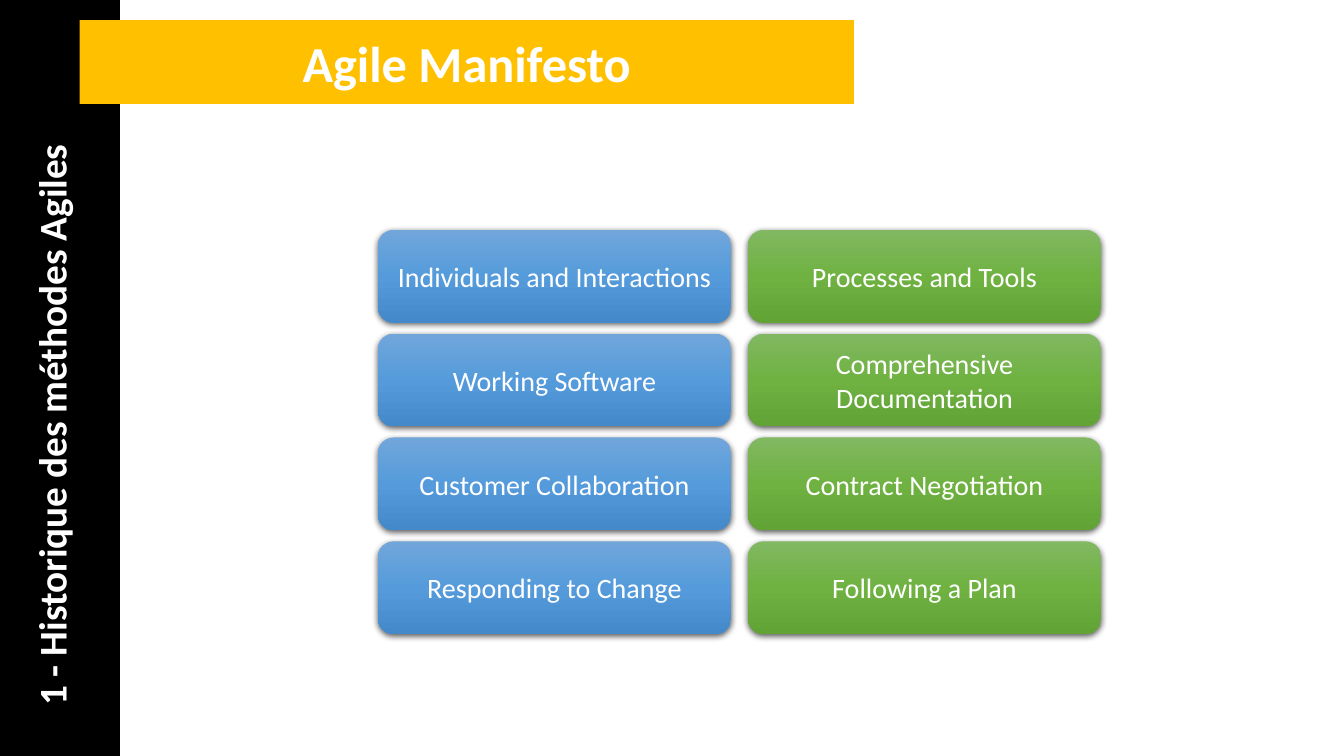
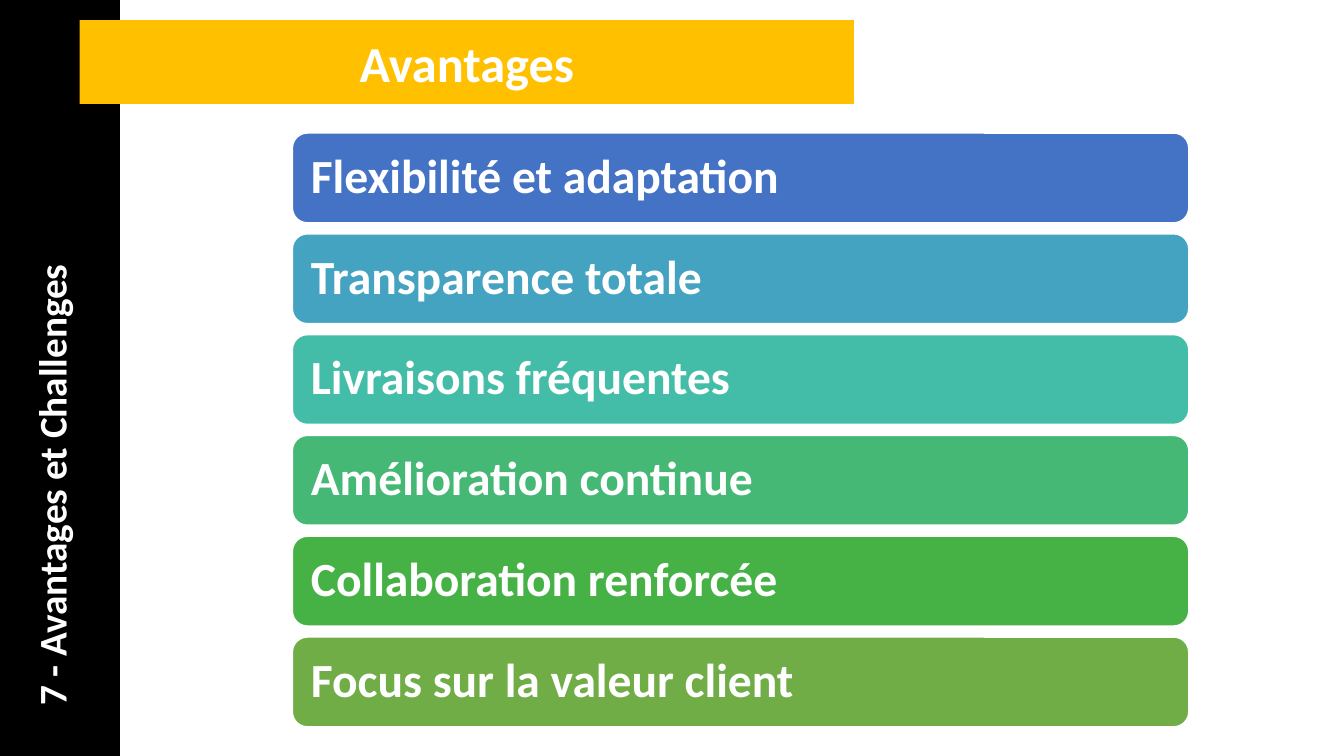
"""Build two slides on the Agile manifesto and the advantages of Agile methods."""
from dataclasses import dataclass

from pptx import Presentation
from pptx.dml.color import RGBColor
from pptx.enum.shapes import MSO_SHAPE
from pptx.enum.text import MSO_ANCHOR, MSO_AUTO_SIZE, PP_ALIGN
from pptx.oxml import parse_xml
from pptx.oxml.ns import nsdecls
from pptx.shapes.autoshape import Shape
from pptx.slide import Slide
from pptx.util import Inches, Pt

FONT = "Calibri"
COLORS = {"white": "FFFFFF", "black": "000000", "amber": "FFC000"}
BLUE = ("71A6DB", "559BDB", "448ACA")
GREEN = ("81B861", "6FB242", "62A336")


@dataclass(frozen=True)
class Box:
    left: float
    top: float
    width: float
    height: float

    def emu(self) -> tuple[Inches, Inches, Inches, Inches]:
        return Inches(self.left), Inches(self.top), Inches(self.width), Inches(self.height)


@dataclass(frozen=True)
class Bar:
    text: str
    color: str


SIDE_BAND = Box(0, 0, 1.19, 7.5)
TITLE_BAND = Box(0.79, 0.2, 7.68, 0.83)
SECTION_LABEL = Box(-3.43, 2.88, 7.87, 0.57)
FIRST_CARD = Box(3.75, 2.28, 3.5, 0.92)
CARD_STEP = (3.67, 1.03)
FIRST_BAR = Box(2.9, 1.32, 8.89, 0.89)
BAR_STEP = 1.0

VALUES = [
    ("Individuals and Interactions", "Processes and Tools"),
    ("Working Software", "Comprehensive Documentation"),
    ("Customer Collaboration", "Contract Negotiation"),
    ("Responding to Change", "Following a Plan"),
]
ADVANTAGES = [
    Bar("Flexibilité et adaptation", "4472C4"),
    Bar("Transparence totale", "44A3C0"),
    Bar("Livraisons fréquentes", "43BDA7"),
    Bar("Amélioration continue", "44B874"),
    Bar("Collaboration renforcée", "46B246"),
    Bar("Focus sur la valeur client", "70AD47"),
]


def rgb(name: str) -> RGBColor:
    return RGBColor.from_string(COLORS.get(name, name))


def write(sp: Shape, text: str, size: float, bold: bool = True,
          align: PP_ALIGN = PP_ALIGN.LEFT) -> None:
    tf = sp.text_frame
    tf.word_wrap = True
    tf.vertical_anchor = MSO_ANCHOR.MIDDLE
    p = tf.paragraphs[0]
    p.text = text
    p.alignment = align
    p.font.name = FONT
    p.font.size = Pt(size)
    p.font.bold = bold
    p.font.color.rgb = rgb("white")


def add_box(s: Slide, kind: MSO_SHAPE, box: Box, color: str | None = None) -> Shape:
    sp = s.shapes.add_shape(kind, *box.emu())
    sp.line.fill.background()
    if color:
        sp.fill.solid()
        sp.fill.fore_color.rgb = rgb(color)
        sp.shadow.inherit = False
    return sp


def add_frame(prs: Presentation, title: str, section: str) -> Slide:
    s = prs.slides.add_slide(prs.slide_layouts[5])
    band = add_box(s, MSO_SHAPE.RECTANGLE, SIDE_BAND, "black")
    heading = s.shapes.title
    heading.element.addprevious(band.element)
    heading.left, heading.top, heading.width, heading.height = TITLE_BAND.emu()
    heading.fill.solid()
    heading.fill.fore_color.rgb = rgb("amber")
    write(heading, title, 36, align=PP_ALIGN.CENTER)
    heading.text_frame.auto_size = MSO_AUTO_SIZE.NONE
    label = s.shapes.add_textbox(*SECTION_LABEL.emu())
    label.rotation = 270
    write(label, section, 28)
    return s


def add_card(s: Slide, box: Box, text: str, shades: tuple[str, ...]) -> None:
    sp = add_box(s, MSO_SHAPE.ROUNDED_RECTANGLE, box)
    stops = "".join(
        f'<a:gs pos="{i * 50000}"><a:srgbClr val="{c}"/></a:gs>' for i, c in enumerate(shades)
    )
    gradient = parse_xml(
        f'<a:gradFill {nsdecls("a")} rotWithShape="1"><a:gsLst>{stops}</a:gsLst>'
        '<a:lin ang="5400000" scaled="0"/></a:gradFill>'
    )
    shadow = parse_xml(
        f'<a:effectLst {nsdecls("a")}><a:outerShdw blurRad="{Pt(4.5)}" dist="{Pt(1.5)}" '
        f'dir="5400000" algn="ctr" rotWithShape="0"><a:srgbClr val="{COLORS["black"]}">'
        '<a:alpha val="63000"/></a:srgbClr></a:outerShdw></a:effectLst>'
    )
    sp_pr = sp.element.spPr
    sp_pr.insert(2, gradient)
    sp_pr.append(shadow)
    write(sp, text, 20, bold=False, align=PP_ALIGN.CENTER)


def add_bar(s: Slide, box: Box, bar: Bar) -> None:
    sp = add_box(s, MSO_SHAPE.ROUNDED_RECTANGLE, box, bar.color)
    sp.line.color.rgb = rgb("white")
    sp.line.width = Pt(1)
    write(sp, bar.text, 34)
    sp.text_frame.margin_left = Inches(0.14)
    sp.text_frame.paragraphs[0].line_spacing = 0.9


def build_manifesto(prs: Presentation) -> None:
    s = add_frame(prs, "Agile Manifesto", "1 - Historique des méthodes Agiles")
    dx, dy = CARD_STEP
    first = FIRST_CARD
    for row, pair in enumerate(VALUES):
        for col, (text, shades) in enumerate(zip(pair, (BLUE, GREEN))):
            box = Box(first.left + col * dx, first.top + row * dy, first.width, first.height)
            add_card(s, box, text, shades)


def build_advantages(prs: Presentation) -> None:
    s = add_frame(prs, "Avantages", "7 - Avantages et Challenges")
    first = FIRST_BAR
    for i, bar in enumerate(ADVANTAGES):
        add_bar(s, Box(first.left, first.top + i * BAR_STEP, first.width, first.height), bar)


def main() -> None:
    prs = Presentation()
    prs.slide_width = Inches(13.33)
    prs.slide_height = Inches(7.5)
    build_manifesto(prs)
    build_advantages(prs)
    prs.save("out.pptx")


if __name__ == "__main__":
    main()
